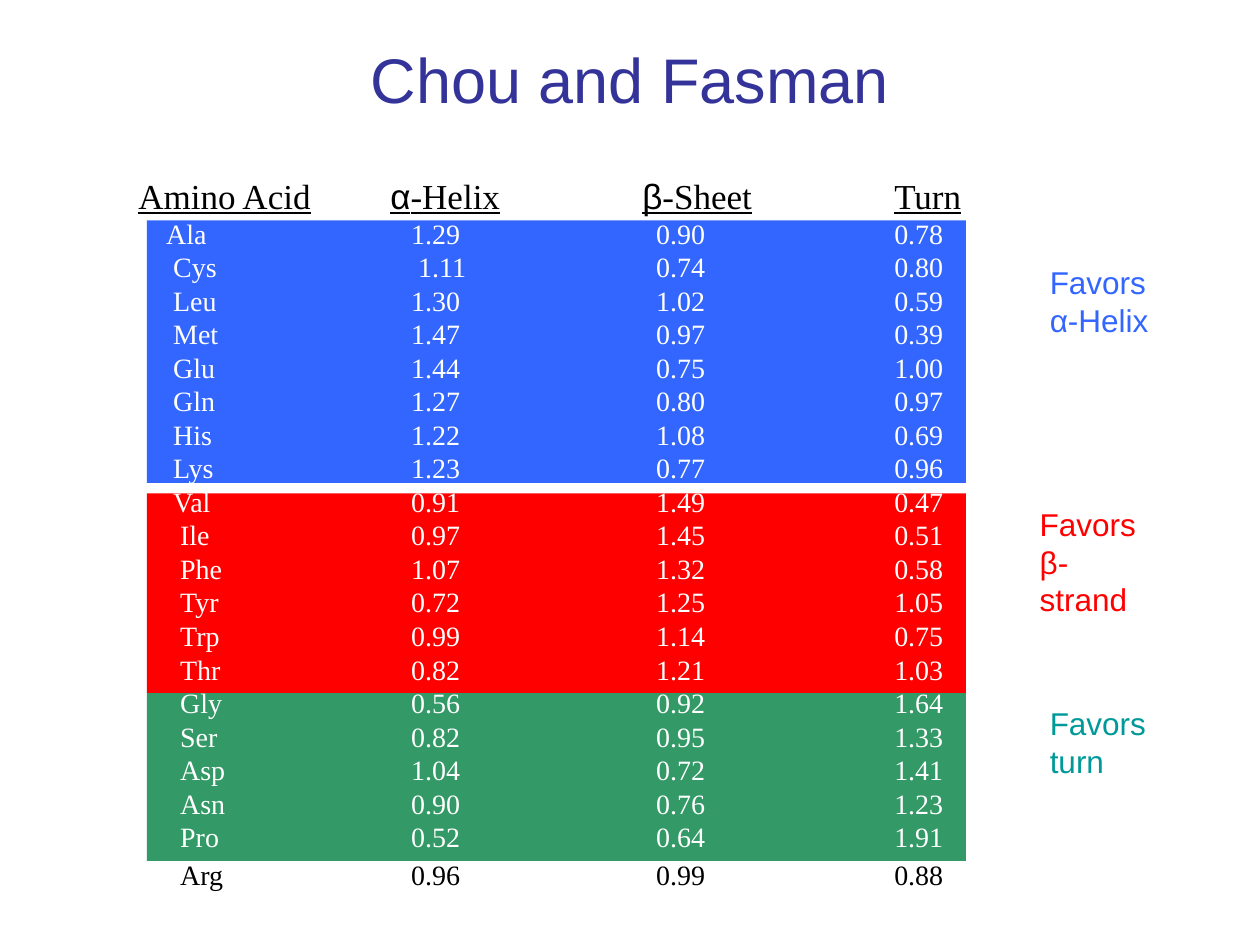
from pptx import Presentation
from pptx.dml.color import RGBColor
from pptx.enum.shapes import MSO_SHAPE
from pptx.enum.text import MSO_ANCHOR, PP_ALIGN
from pptx.util import Pt

BLACK = RGBColor(0x00, 0x00, 0x00)
WHITE = RGBColor(0xFF, 0xFF, 0xFF)
NAVY = RGBColor(0x33, 0x33, 0x99)
BLUE = RGBColor(0x33, 0x66, 0xFF)
RED = RGBColor(0xFF, 0x00, 0x00)
GREEN = RGBColor(0x33, 0x99, 0x66)
TEAL = RGBColor(0x00, 0x99, 0x99)
SANS, SERIF = "Arial", "Times New Roman"
NO_STYLE_NO_GRID = "{2D5ABB26-0587-4C30-8999-92F81FD0307C}"

# Each heading is a list of (text, font) runs
HEADINGS = [
    [("Amino Acid", SERIF)],
    [("α", SANS), ("-Helix", SERIF)],
    [("β", SANS), ("-Sheet", SERIF)],
    [("Turn", SERIF)],
]
PROPENSITIES = [
    ("Ala", "1.29", "0.90", "0.78"),
    ("Cys", "1.11", "0.74", "0.80"),
    ("Leu", "1.30", "1.02", "0.59"),
    ("Met", "1.47", "0.97", "0.39"),
    ("Glu", "1.44", "0.75", "1.00"),
    ("Gln", "1.27", "0.80", "0.97"),
    ("His", "1.22", "1.08", "0.69"),
    ("Lys", "1.23", "0.77", "0.96"),
    ("Val", "0.91", "1.49", "0.47"),
    ("Ile", "0.97", "1.45", "0.51"),
    ("Phe", "1.07", "1.32", "0.58"),
    ("Tyr", "0.72", "1.25", "1.05"),
    ("Trp", "0.99", "1.14", "0.75"),
    ("Thr", "0.82", "1.21", "1.03"),
    ("Gly", "0.56", "0.92", "1.64"),
    ("Ser", "0.82", "0.95", "1.33"),
    ("Asp", "1.04", "0.72", "1.41"),
    ("Asn", "0.90", "0.76", "1.23"),
    ("Pro", "0.52", "0.64", "1.91"),
    ("Arg", "0.96", "0.99", "0.88"),
]
COLUMN_WIDTHS = [144, 144, 144, 72]
VALUE_INDENTS = [12, 8, 0]
HEADING_HEIGHT, ROW_HEIGHT, LAST_ROW_HEIGHT = 24.3, 19.17, 21.7


def add_run(p, text, font=SERIF, size=16, color=BLACK, underline=False):
    r = p.add_run()
    r.text = text
    r.font.name = font
    r.font.size = Pt(size)
    r.font.color.rgb = color
    r.font.underline = underline


def add_text_box(slide, box, lines, align=PP_ALIGN.LEFT,
                 anchor=MSO_ANCHOR.TOP, **fmt):
    tf = slide.shapes.add_textbox(*map(Pt, box)).text_frame
    tf.word_wrap = True
    tf.vertical_anchor = anchor
    for i, line in enumerate(lines):
        p = tf.add_paragraph() if i else tf.paragraphs[0]
        p.alignment = align
        add_run(p, line, **fmt)


def add_band(slide, box, color):
    sp = slide.shapes.add_shape(MSO_SHAPE.RECTANGLE, *map(Pt, box))
    sp.shadow.inherit = False
    sp.fill.solid()
    sp.fill.fore_color.rgb = color
    sp.line.fill.background()


def fill_cell(cell, runs, indent=0, **fmt):
    cell.fill.background()
    cell.vertical_anchor = MSO_ANCHOR.BOTTOM
    cell.margin_left = Pt(indent)
    cell.margin_right = cell.margin_top = cell.margin_bottom = Pt(0)
    for text, font in runs:
        add_run(cell.text_frame.paragraphs[0], text, font=font, **fmt)


def name_indent(row):
    if row == 0:
        return 16
    return 20 if row <= 8 else 24


def add_propensity_table(slide, left, top):
    heights = ([HEADING_HEIGHT] + [ROW_HEIGHT] * (len(PROPENSITIES) - 1)
               + [LAST_ROW_HEIGHT])
    frame = slide.shapes.add_table(
        len(heights), len(COLUMN_WIDTHS), Pt(left), Pt(top),
        Pt(sum(COLUMN_WIDTHS)), Pt(sum(heights)))
    table = frame.table
    table.first_row = table.horz_banding = False
    table._tbl.tblPr[0].text = NO_STYLE_NO_GRID
    for column, width in zip(table.columns, COLUMN_WIDTHS):
        column.width = Pt(width)
    for row, height in zip(table.rows, heights):
        row.height = Pt(height)

    # Headings
    for c, runs in enumerate(HEADINGS):
        fill_cell(table.cell(0, c), runs, size=20, underline=True)

    # Values: white on the bands, black on the last row below them
    for i, record in enumerate(PROPENSITIES):
        color = BLACK if record[0] == "Arg" else WHITE
        indents = [name_indent(i)] + VALUE_INDENTS
        if record[0] == "Cys":
            indents[1] += 4
        for c, (text, indent) in enumerate(zip(record, indents)):
            fill_cell(table.cell(i + 1, c), [(text, SERIF)], indent, color=color)


def main():
    prs = Presentation()
    prs.slide_width, prs.slide_height = Pt(720), Pt(540)
    slide = prs.slides.add_slide(prs.slide_layouts[6])

    # Bands behind the three groups of amino acids
    for top, height, color in [(396, 96, GREEN), (282, 114, RED), (126, 150, BLUE)]:
        add_band(slide, (84, top, 468, height), color)

    add_propensity_table(slide, 79, 99.5)

    # Title
    add_text_box(slide, (36, 0, 648, 90), ["Chou and Fasman"], PP_ALIGN.CENTER,
                 MSO_ANCHOR.MIDDLE, font=SANS, size=36, color=NAVY)

    # Group labels
    for left, top, width, feature, color in [
        (592.8, 147, 72, "α-Helix", BLUE),
        (587, 285, 79, "β-strand", RED),
        (592.8, 399, 72, "turn", TEAL),
    ]:
        add_text_box(slide, (left, top, width, 50), ["Favors", feature],
                     font=SANS, size=18, color=color)

    prs.save("out.pptx")


if __name__ == "__main__":
    main()
